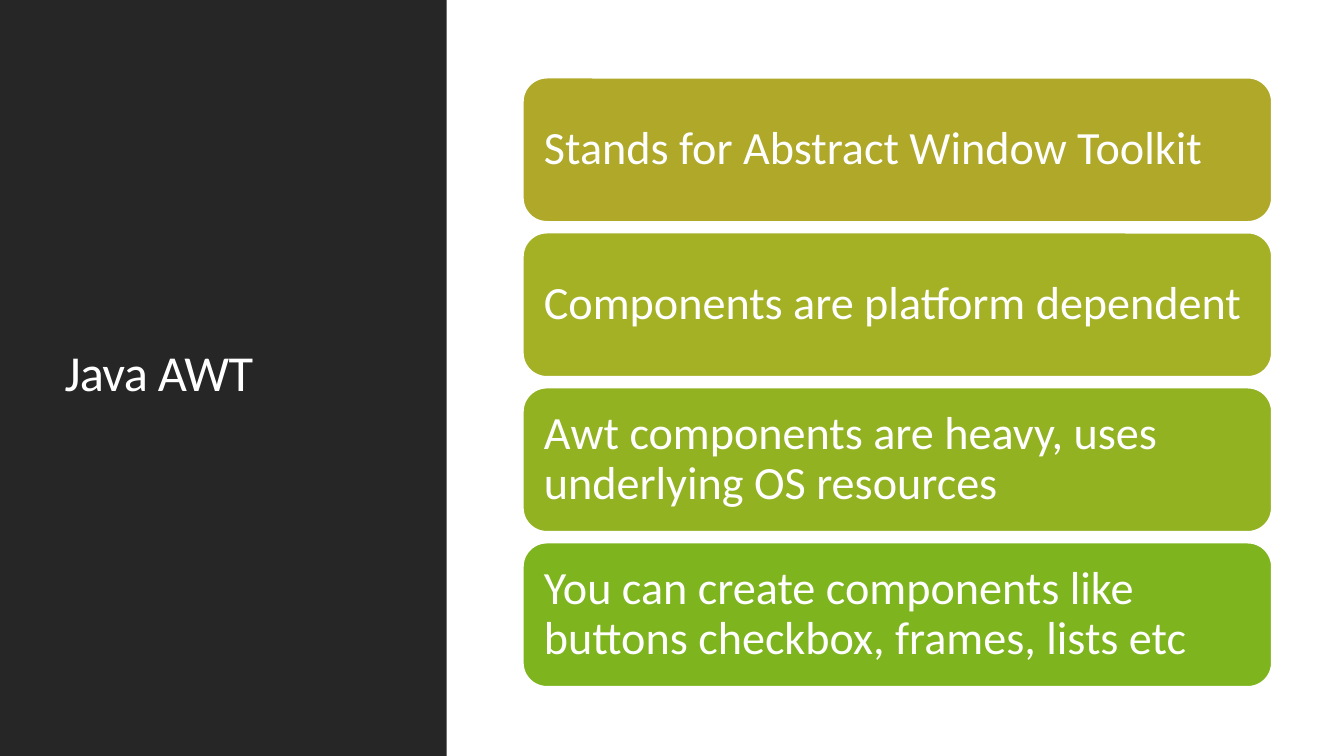
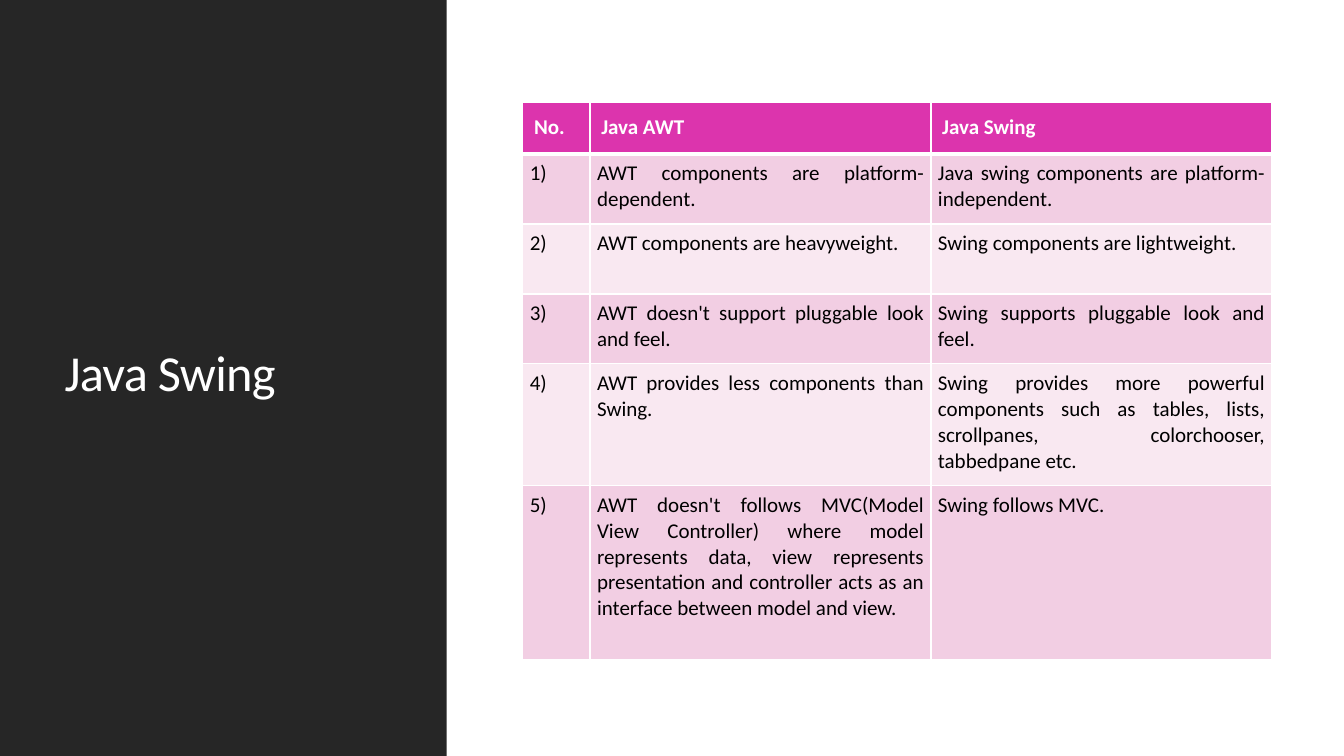
from lxml.etree import SubElement
from pptx import Presentation
from pptx.dml.color import RGBColor
from pptx.enum.shapes import MSO_SHAPE as Shape
from pptx.enum.text import MSO_ANCHOR as Anchor, PP_ALIGN as Align
from pptx.oxml.ns import qn
from pptx.util import Pt

FONT = "Calibri"
WHITE, BLACK, DARK = "FFFFFF", "000000", "262626"
HEADER_PINK, BAND_PINKS = "DC34AD", ("F9E8F1", "F2CEE3")
SLIDE_WIDTH, SLIDE_HEIGHT = 960, 540
PANEL_WIDTH = 319
CONTENT_LEFT, CONTENT_WIDTH = 373.5, 535
CARD_TOP, CARD_HEIGHT, CARD_PITCH = 55.5, 103, 110.7
TABLE_TOP = 73.5
COLUMN_WIDTHS = (48, 243.5, 243.5)
ROW_HEIGHTS = (36.5, 50, 50, 50, 87, 124.5)

AWT_FACTS = (
    ("Stands for Abstract Window Toolkit", "AFA829"),
    ("Components are platform dependent", "A5B125"),
    ("Awt components are heavy, uses underlying OS resources", "92B222"),
    ("You can create components like buttons checkbox, frames, lists etc", "7EB41E"),
)
COMPARISON = (
    ("No.", "Java AWT", "Java Swing"),
    ("1)", "AWT components are platform-dependent.",
     "Java swing components are platform-independent."),
    ("2)", "AWT components are heavyweight.",
     "Swing components are lightweight."),
    ("3)", "AWT doesn't support pluggable look and feel.",
     "Swing supports pluggable look and feel."),
    ("4)", "AWT provides less components than Swing.",
     "Swing provides more powerful components such as tables, lists, "
     "scrollpanes, colorchooser, tabbedpane etc."),
    ("5)", "AWT doesn't follows MVC(Model View Controller) where model "
     "represents data, view represents presentation and controller acts as "
     "an interface between model and view.",
     "Swing follows MVC."),
)


def color(hex_code):
    """Turn a hex string into a colour."""
    return RGBColor.from_string(hex_code)


def paint(target, hex_code):
    """Give a shape or cell a solid fill."""
    target.fill.solid()
    target.fill.fore_color.rgb = color(hex_code)


def write(frame, text, size, hex_code=WHITE, bold=False, align=Align.LEFT, spacing=None):
    """Put one formatted paragraph in a text frame and return its run."""
    frame.word_wrap = True
    frame.text = text
    paragraph = frame.paragraphs[0]
    paragraph.alignment = align
    paragraph.line_spacing = spacing
    run = paragraph.runs[0]
    run.font.name, run.font.size, run.font.bold = FONT, Pt(size), bold
    run.font.color.rgb = color(hex_code)
    return run


def set_margins(holder, margin):
    """Set the same inset on all four sides of a frame or cell."""
    holder.margin_left = holder.margin_right = Pt(margin)
    holder.margin_top = holder.margin_bottom = Pt(margin)


def add_block(slide, kind, left, top, width, height, hex_code):
    """Add a filled preset shape without shadow or outline."""
    block = slide.shapes.add_shape(kind, Pt(left), Pt(top), Pt(width), Pt(height))
    block.shadow.inherit = False
    paint(block, hex_code)
    block.line.fill.background()
    return block


def add_titled_slide(deck, title):
    """Add a slide with the dark side panel and its title."""
    slide = deck.slides.add_slide(deck.slide_layouts[6])
    add_block(slide, Shape.RECTANGLE, 0, 0, PANEL_WIDTH, SLIDE_HEIGHT, DARK)
    heading = slide.shapes.add_textbox(Pt(39), Pt(41), Pt(243), Pt(454)).text_frame
    heading.vertical_anchor = Anchor.MIDDLE
    run = write(heading, title, 36, spacing=0.9)
    run._r.get_or_add_rPr().set("spc", "-50")
    return slide


def add_card(slide, top, text, hex_code):
    """Add a rounded card holding one statement."""
    card = add_block(slide, Shape.ROUNDED_RECTANGLE, CONTENT_LEFT, top,
                     CONTENT_WIDTH, CARD_HEIGHT, hex_code)
    card.line.color.rgb = color(WHITE)
    card.line.width = Pt(1.25)
    card.text_frame.vertical_anchor = Anchor.MIDDLE
    set_margins(card.text_frame, 10)
    write(card.text_frame, text, 33, spacing=0.9)


def add_borders(cell, top, bottom):
    """Draw white borders round a cell."""
    properties = cell._tc.get_or_add_tcPr()
    for side, width in (("L", 1), ("R", 1), ("T", top), ("B", bottom)):
        line = SubElement(properties, qn(f"a:ln{side}"), w=str(Pt(width)))
        fill = SubElement(line, qn("a:solidFill"))
        SubElement(fill, qn("a:srgbClr"), val=WHITE)


def fill_cell(cell, text, row):
    """Write and style a cell according to its row."""
    header = row == 0
    add_borders(cell, 3 if row == 1 else 1, 3 if header else 1)
    paint(cell, HEADER_PINK if header else BAND_PINKS[row % 2])
    set_margins(cell, 8 if header else 5)
    write(cell.text_frame, text, 15, WHITE if header else BLACK, header,
          Align.LEFT if header else Align.JUSTIFY)


def add_comparison(slide, rows):
    """Add the comparison table."""
    table = slide.shapes.add_table(
        len(rows), len(COLUMN_WIDTHS), Pt(CONTENT_LEFT), Pt(TABLE_TOP),
        Pt(CONTENT_WIDTH), Pt(sum(ROW_HEIGHTS))).table
    table.horz_banding = False
    for column, width in zip(table.columns, COLUMN_WIDTHS):
        column.width = Pt(width)
    for row, (texts, height) in enumerate(zip(rows, ROW_HEIGHTS)):
        table.rows[row].height = Pt(height)
        for column, text in enumerate(texts):
            fill_cell(table.cell(row, column), text, row)


def main():
    """Build and save the presentation."""
    deck = Presentation()
    deck.slide_width, deck.slide_height = Pt(SLIDE_WIDTH), Pt(SLIDE_HEIGHT)
    awt = add_titled_slide(deck, "Java AWT")
    for index, (fact, hex_code) in enumerate(AWT_FACTS):
        add_card(awt, CARD_TOP + index * CARD_PITCH, fact, hex_code)
    swing = add_titled_slide(deck, "Java Swing")
    add_comparison(swing, COMPARISON)
    deck.save("out.pptx")


if __name__ == "__main__":
    main()
